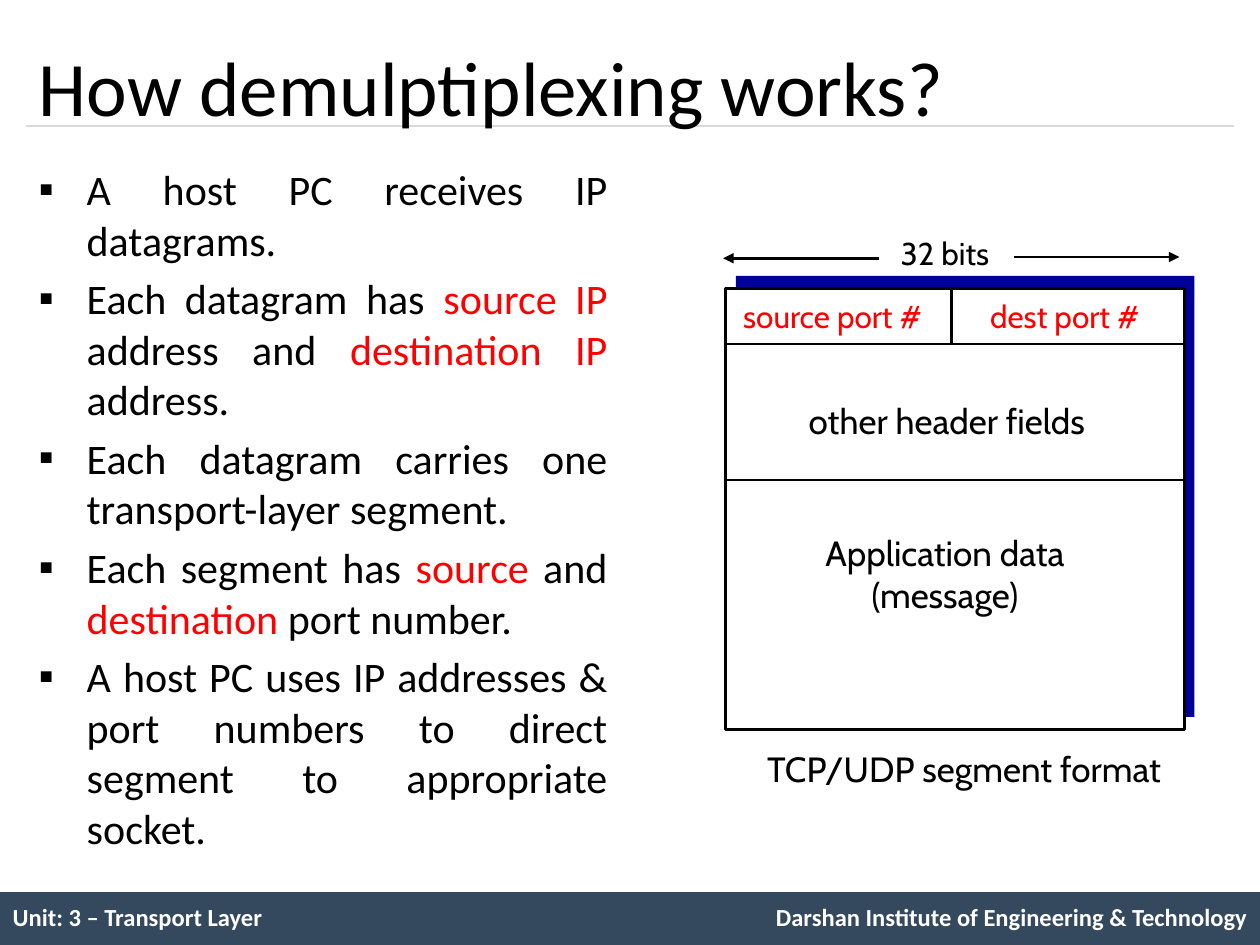
"""Build the slide on how demultiplexing works."""
from dataclasses import dataclass

from pptx import Presentation, util as u
from pptx.dml.color import RGBColor
from pptx.enum import shapes, text
from pptx.oxml.ns import qn
from lxml import etree

BLACK, WHITE, RED = "000000", "FFFFFF", "FF0000"
NO_GRID = "{2D5ABB26-0587-4C30-8999-92F81FD0307C}"
LEFT, MID, RIGHT = text.PP_ALIGN.LEFT, text.PP_ALIGN.CENTER, text.PP_ALIGN.RIGHT


@dataclass
class Box:
    x: float
    y: float
    w: float
    h: float


@dataclass
class Label:
    words: str
    box: Box
    size: int = 20
    hue: str = BLACK
    font: str = "Cabin"
    align: int = LEFT
    wrap: bool = False
    anchor: int = text.MSO_ANCHOR.TOP


@dataclass
class Line:
    x1: float
    y1: float
    x2: float
    y2: float
    hue: str = BLACK
    width: float = 1.5
    arrow: bool = False


LABELS = [
    Label("How demulptiplexing works?", Box(0.21, 0.24, 9.58, 0.88), 44,
          font="Calibri", wrap=True, anchor=text.MSO_ANCHOR.MIDDLE),
    Label("source port #", Box(5.8, 2.31, 1.71, 0.4), 18, RED),
    Label("dest port #", Box(7.76, 2.31, 1.45, 0.4), 18, RED),
    Label("32 bits", Box(7.05, 1.81, 0.94, 0.4), 18),
    Label("Application data (message)", Box(6.17, 4.17, 2.66, 0.77),
          align=MID, wrap=True),
    Label("other header fields", Box(6.32, 3.12, 2.51, 0.43)),
    Label("TCP/UDP segment format", Box(5.99, 5.88, 3.35, 0.43)),
]
LINES = [
    Line(0.21, 1, 9.79, 1, "D9D9D9", 0.75),
    Line(5.76, 2.73, 9.4, 2.73),
    Line(5.76, 3.81, 9.4, 3.81),
    Line(7.55, 2.73, 7.55, 2.29),
    Line(8.05, 2.04, 9.36, 2.04, arrow=True),
    Line(6.98, 2.05, 5.74, 2.05, arrow=True),
]
POINTS = [
    ["A host PC receives IP datagrams."],
    ["Each datagram has ", "source IP ", "address and ", "destination IP ", "address."],
    ["Each datagram carries one transport-layer segment."],
    ["Each segment has ", "source", " and ", "destination", " port number."],
    ["A host PC uses IP addresses & port numbers to direct segment to "
     "appropriate socket."],
]
FOOTER = [("Unit: 3 – Transport Layer", LEFT),
          ("Darshan Institute of Engineering & Technology", RIGHT)]


def tint(code: str) -> RGBColor:
    """Turn a hex string into a colour."""
    return RGBColor.from_string(code)


def place(box: Box) -> list:
    """Give a box as lengths."""
    return [u.Inches(side) for side in (box.x, box.y, box.w, box.h)]


def style(run, size: int, hue: str, font: str = "Calibri", bold: bool = False) -> None:
    """Format one run."""
    run.font.size, run.font.name, run.font.bold = u.Pt(size), font, bold
    run.font.color.rgb = tint(hue)


def add_rect(slide, box: Box, fill: str, edge: str = "") -> None:
    """Draw a plain rectangle."""
    rect = slide.shapes.add_shape(shapes.MSO_SHAPE.RECTANGLE, *place(box))
    rect.shadow.inherit = False
    rect.fill.solid()
    rect.fill.fore_color.rgb = tint(fill)
    if edge:
        rect.line.color.rgb = tint(edge)
        rect.line.width = u.Pt(1.5)
    else:
        rect.line.fill.background()


def add_line(slide, line: Line) -> None:
    """Draw a straight line, with an arrowhead if asked."""
    ends = [u.Inches(n) for n in (line.x1, line.y1, line.x2, line.y2)]
    link = slide.shapes.add_connector(shapes.MSO_CONNECTOR.STRAIGHT, *ends)
    link.line.color.rgb = tint(line.hue)
    link.line.width = u.Pt(line.width)
    if line.arrow:
        etree.SubElement(link.line._get_or_add_ln(), qn("a:tailEnd"), type="triangle")
    etree.SubElement(link._element.spPr, qn("a:effectLst"))


def add_label(slide, label: Label) -> None:
    """Draw one line of text in a box."""
    frame = slide.shapes.add_textbox(*place(label.box)).text_frame
    frame.text = label.words
    frame.word_wrap = label.wrap
    frame.vertical_anchor = label.anchor
    para = frame.paragraphs[0]
    para.alignment = label.align
    style(para.runs[0], label.size, label.hue, label.font)


def add_points(slide, box: Box, points: list[list[str]]) -> None:
    """Write bulleted points in which every second part is red."""
    frame = slide.shapes.add_textbox(*place(box)).text_frame
    frame.word_wrap = True
    for row, parts in enumerate(points):
        para = frame.add_paragraph() if row else frame.paragraphs[0]
        para.alignment = text.PP_ALIGN.JUSTIFY
        if row:
            para.space_before = u.Pt(4.8)
        props = para._p.get_or_add_pPr()
        props.set("marL", str(u.Inches(0.38)))
        props.set("indent", str(u.Inches(-0.38)))
        etree.SubElement(props, qn("a:buFont"), typeface="Wingdings")
        props[-1].set("typeface", "Calibri")
        etree.SubElement(props, qn("a:buChar"), char="▪")
        for col, part in enumerate(parts):
            run = para.add_run()
            run.text = part
            style(run, 24, RED if col % 2 else BLACK)


def add_footer(slide, box: Box) -> None:
    """Lay the footer table over its dark bar."""
    add_rect(slide, box, "34495E")
    table = slide.shapes.add_table(1, len(FOOTER), *place(box)).table
    table.first_row = table.horz_banding = False
    table._tbl.tblPr.find(qn("a:tableStyleId")).text = NO_GRID
    for cell, (words, align) in zip(table.rows[0].cells, FOOTER):
        cell.fill.background()
        cell.vertical_anchor = text.MSO_ANCHOR.MIDDLE
        cell.text = words
        para = cell.text_frame.paragraphs[0]
        para.alignment = align
        style(para.runs[0], 14, WHITE, bold=True)


def main() -> None:
    """Build and save the slide."""
    deck = Presentation()
    deck.slide_width, deck.slide_height = u.Inches(10), u.Inches(7.5)
    slide = deck.slides.add_slide(deck.slide_layouts[6])
    add_footer(slide, Box(0, 7.08, 10, 0.42))
    add_rect(slide, Box(5.84, 2.19, 3.64, 3.5), "000099")
    add_rect(slide, Box(5.76, 2.29, 3.64, 3.5), WHITE, BLACK)
    for line in LINES:
        add_line(slide, line)
    for label in LABELS:
        add_label(slide, label)
    add_points(slide, Box(0.21, 1.25, 4.71, 5.67), POINTS)
    deck.save("out.pptx")


if __name__ == "__main__":
    main()
